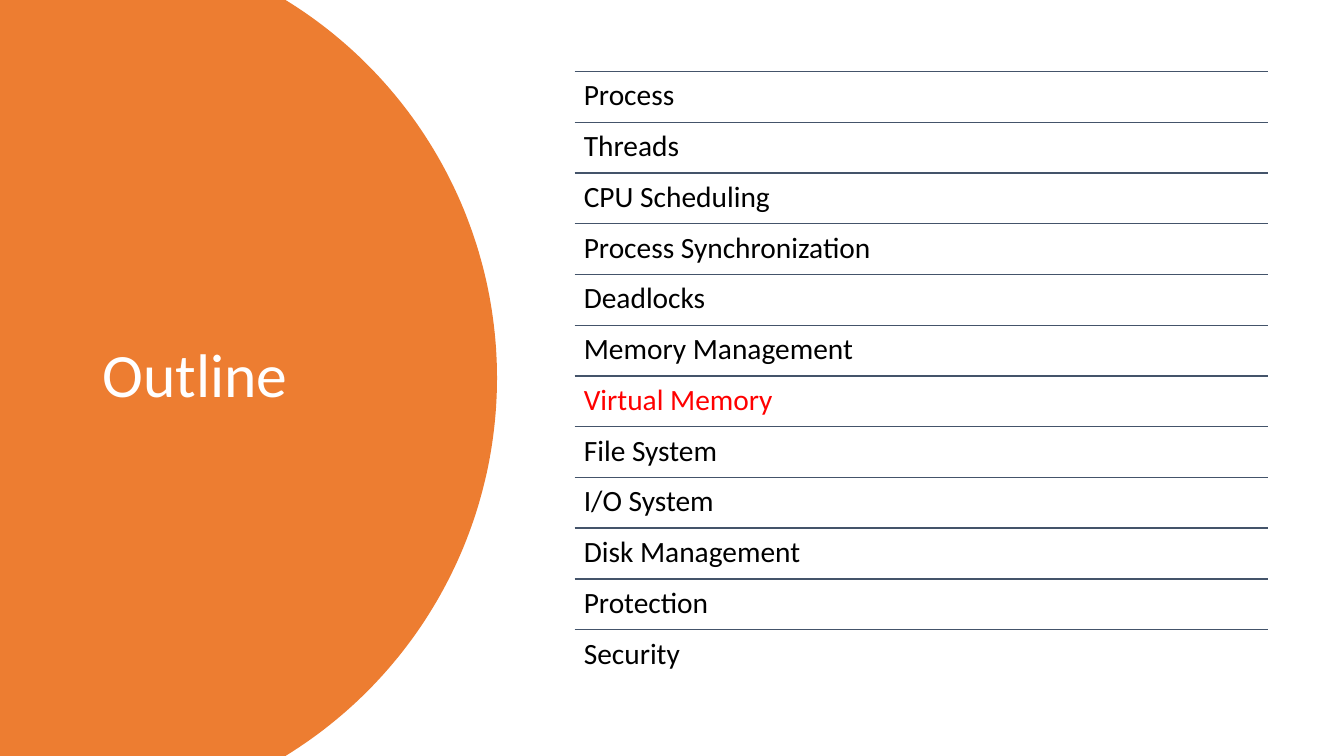
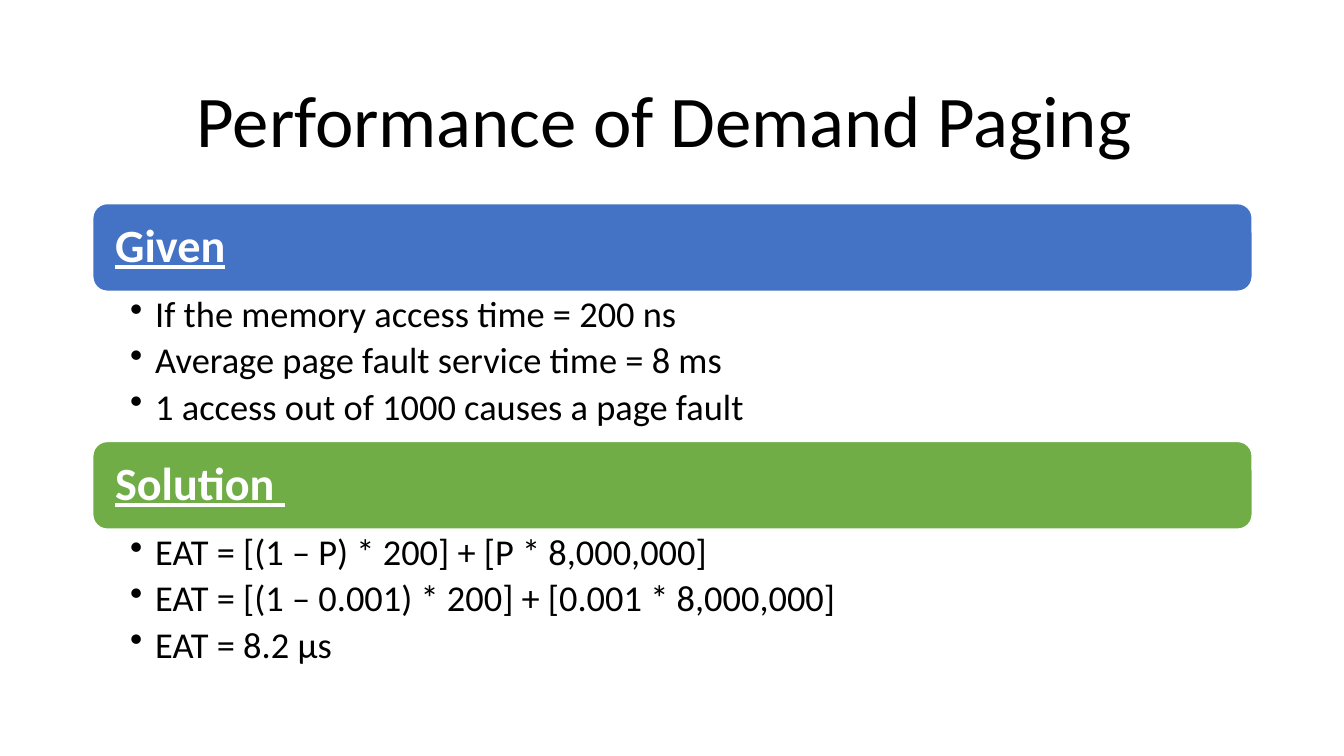
import math
import pptx
import pptx.util
import pptx.dml.color
import pptx.enum.shapes
import pptx.enum.text
import pptx.oxml
from lxml import etree

Inches = pptx.util.Inches
Pt = pptx.util.Pt
ALIGN = pptx.enum.text.PP_ALIGN
ANCHOR = pptx.enum.text.MSO_ANCHOR
SHAPE = pptx.enum.shapes.MSO_SHAPE
LINE = pptx.enum.shapes.MSO_CONNECTOR

FONT = "Calibri"
WHITE, BLACK, RED = "FFFFFF", "000000", "FF0000"
ORANGE, SLATE, BLUE, GREEN = "ED7D31", "44546A", "4472C4", "70AD47"

TOPICS = [
    "Process", "Threads", "CPU Scheduling", "Process Synchronization",
    "Deadlocks", "Memory Management", "Virtual Memory", "File System",
    "I/O System", "Disk Management", "Protection", "Security",
]
ACTIVE = "Virtual Memory"
PARTS = [
    ("Given", BLUE, [
        "If the memory access time = 200 ns",
        "Average page fault service time = 8 ms",
        "1 access out of 1000 causes a page fault",
    ]),
    ("Solution ", GREEN, [
        "EAT = [(1 – P) * 200] + [P * 8,000,000]",
        "EAT = [(1 – 0.001) * 200] + [0.001 * 8,000,000]",
        "EAT = 8.2 μs",
    ]),
]


def tint(target, color):
    target.rgb = pptx.dml.color.RGBColor.from_string(color)


def apply(target, values):
    for name, value in values.items():
        setattr(target, name, value)


def paint(shape, color):
    shape.shadow.inherit = False
    shape.fill.solid()
    tint(shape.fill.fore_color, color)


def write(shape, lines, size, color, frame=None, para=None, font=None):
    body = shape.text_frame
    apply(body, {"word_wrap": True, **(frame or {})})
    for index, text in enumerate(lines):
        item = body.add_paragraph() if index else body.paragraphs[0]
        apply(item, {"line_spacing": 0.9, "alignment": ALIGN.LEFT, **(para or {})})
        run = item.add_run()
        run.text = text
        apply(run.font, {"name": FONT, "size": Pt(size), **(font or {})})
        tint(run.font.color, color)
    return body


def add_text(slide, box, lines, size, color, **style):
    shape = slide.shapes.add_textbox(*map(Inches, box))
    return write(shape, lines, size, color, **style)


def add_title(slide, box, text, size, color, align):
    add_text(slide, box, [text], size, color,
             frame={"vertical_anchor": ANCHOR.MIDDLE}, para={"alignment": align})


def add_rule(slide, left, top, width):
    rule = slide.shapes.add_connector(
        LINE.STRAIGHT, *map(Inches, (left, top, left + width, top)))
    rule.line.width = Pt(1)
    tint(rule.line.color, SLATE)
    etree.SubElement(rule._element.spPr, pptx.oxml.ns.qn("a:effectLst"))


def add_disc(slide, mid, radius, high):
    half = high / 2
    sweep = math.asin(half / radius)
    steps = 120
    angles = [sweep * (2 * n / steps - 1) for n in range(steps + 1)]
    curve = [(Inches(mid + radius * math.cos(a)), Inches(half + radius * math.sin(a)))
             for a in angles]
    path = slide.shapes.build_freeform(0, 0)
    path.add_line_segments(curve + [(0, Inches(high))], close=True)
    disc = path.convert_to_shape()
    paint(disc, ORANGE)
    disc.line.fill.background()


def add_band(slide, box, text, color):
    band = slide.shapes.add_shape(SHAPE.ROUNDED_RECTANGLE, *map(Inches, box))
    paint(band, color)
    tint(band.line.color, WHITE)
    band.line.width = Pt(1)
    write(band, [text], 33, WHITE,
          frame={"vertical_anchor": ANCHOR.MIDDLE, "margin_left": Inches(0.18)},
          font={"bold": True, "underline": True})


def add_list(slide, box, lines):
    body = add_text(slide, box, lines, 26, BLACK,
                    frame={"margin_left": Inches(0.37), "margin_right": Inches(0.26)},
                    para={"space_after": Pt(5)})
    for item in body.paragraphs:
        props = item._p.get_or_add_pPr()
        props.set("marL", str(Inches(0.25)))
        props.set("indent", str(Inches(-0.25)))
        mark = etree.SubElement(props, pptx.oxml.ns.qn("a:buChar"))
        mark.set("char", "•")


def draw_outline(slide):
    add_disc(slide, 0.53, 4.4, 7.5)
    add_title(slide, (0.92, 0.7, 3.23, 6.09), "Outline", 44, WHITE, ALIGN.LEFT)
    left, top, width = 5.7, 0.71, 6.88
    step = 6.04 / len(TOPICS)
    inset = dict.fromkeys(
        ("margin_left", "margin_top", "margin_right", "margin_bottom"), Inches(0.09))
    for index, topic in enumerate(TOPICS):
        row = top + index * step
        add_rule(slide, left, row, width)
        add_text(slide, (left, row, width, step), [topic], 21,
                 RED if topic == ACTIVE else BLACK, frame=inset)


def draw_paging(slide):
    left, top, width = 0.92, 2.02, 11.5
    band, body = 0.87, 1.49
    add_title(slide, (left, 0.61, width, 1.24),
              "Performance of Demand Paging ", 52, BLACK, ALIGN.CENTER)
    for index, (head, color, lines) in enumerate(PARTS):
        row = top + index * (band + body)
        add_band(slide, (left, row, width, band), head, color)
        add_list(slide, (left, row + band, width, body), lines)


def main():
    deck = pptx.Presentation()
    apply(deck, {"slide_width": Inches(13.33), "slide_height": Inches(7.5)})
    for draw in (draw_outline, draw_paging):
        draw(deck.slides.add_slide(deck.slide_layouts[6]))
    deck.save("out.pptx")


if __name__ == "__main__":
    main()
